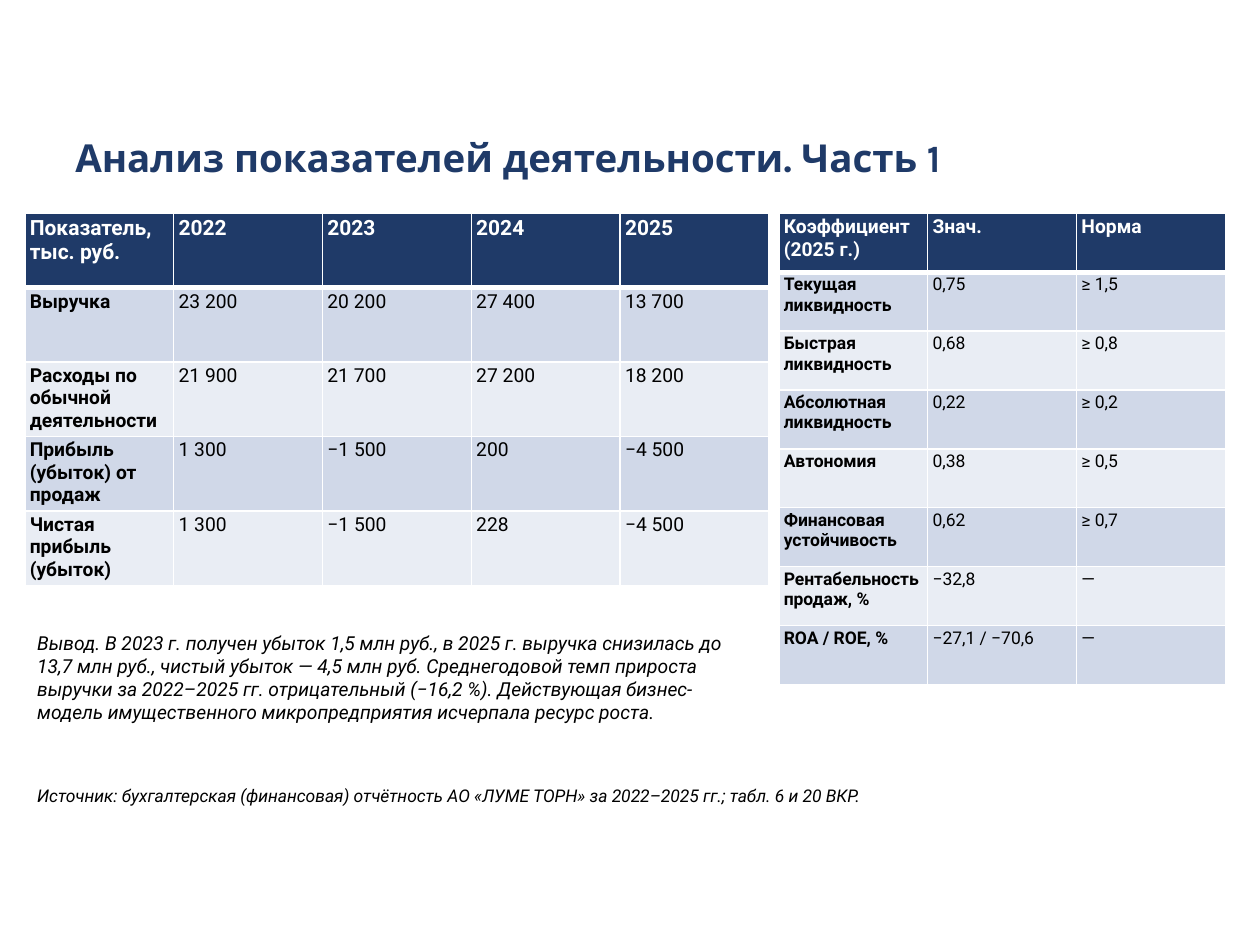
import lxml.etree
import pptx
import pptx.dml.color
import pptx.enum.text
import pptx.oxml.ns
import pptx.util
from pptx.util import Cm

NAVY, WHITE, BLACK = "1F3A68", "FFFFFF", "000000"
BANDS = ("D0D8E8", "E9EDF4")

INDICATORS = [
    ("Показатель, тыс. руб.", "2022", "2023", "2024", "2025"),
    ("Выручка", "23 200", "20 200", "27 400", "13 700"),
    ("Расходы по обычной деятельности", "21 900", "21 700", "27 200", "18 200"),
    ("Прибыль (убыток) от продаж", "1 300", "−1 500", "200", "−4 500"),
    ("Чистая прибыль (убыток)", "1 300", "−1 500", "228", "−4 500"),
]
RATIOS = [
    ("Коэффициент (2025 г.)", "Знач.", "Норма"),
    ("Текущая ликвидность", "0,75", "≥ 1,5"),
    ("Быстрая ликвидность", "0,68", "≥ 0,8"),
    ("Абсолютная ликвидность", "0,22", "≥ 0,2"),
    ("Автономия", "0,38", "≥ 0,5"),
    ("Финансовая устойчивость", "0,62", "≥ 0,7"),
    ("Рентабельность продаж, %", "−32,8", "—"),
    ("ROA / ROE, %", "−27,1 / −70,6", "—"),
]
CONCLUSION = (
    "Вывод. В 2023 г. получен убыток 1,5 млн руб., в 2025 г. выручка снизилась до "
    "13,7 млн руб., чистый убыток — 4,5 млн руб. Среднегодовой темп прироста выручки "
    "за 2022–2025 гг. отрицательный (−16,2 %). Действующая бизнес-модель "
    "имущественного микропредприятия исчерпала ресурс роста."
)
SOURCE = (
    "Источник: бухгалтерская (финансовая) отчётность АО «ЛУМЕ ТОРН» "
    "за 2022–2025 гг.; табл. 6 и 20 ВКР."
)


def rgb(value):
    return pptx.dml.color.RGBColor.from_string(value)


def write(frame, text, size, font="Roboto", color=BLACK, bold=False, italic=False):
    run = frame.paragraphs[0].add_run()
    run.text = text
    run.font.size = pptx.util.Pt(size)
    run.font.name = font
    run.font.color.rgb = rgb(color)
    run.font.bold = bold
    run.font.italic = italic


def add_borders(cell, color, **widths):
    """Draw cell sides given as L, R, T, B with widths in points, in that order."""
    qn = pptx.oxml.ns.qn
    properties = cell._tc.get_or_add_tcPr()
    for position, (side, width) in enumerate(widths.items()):
        line = lxml.etree.Element(qn(f"a:ln{side}"), w=str(pptx.util.Pt(width)))
        fill = lxml.etree.SubElement(line, qn("a:solidFill"))
        lxml.etree.SubElement(fill, qn("a:srgbClr"), val=color)
        properties.insert(position, line)


class ReportSlide:
    """Holds the current slide and the style shared by its elements."""

    column_width = 3
    cell_margin_x, cell_margin_y = 0.1, 0.05

    def __init__(self, deck):
        self.slide = deck.slides.add_slide(deck.slide_layouts[6])

    def text_box(self, left, top, width, height):
        box = self.slide.shapes.add_textbox(Cm(left), Cm(top), Cm(width), Cm(height))
        box.text_frame.word_wrap = True
        return box.text_frame

    def title(self, text):
        frame = self.text_box(1.27, 2.16, 22.86, 2.03)
        frame.vertical_anchor = pptx.enum.text.MSO_ANCHOR.MIDDLE
        write(frame, text, 22, font="Karla", color=NAVY, bold=True)

    def note(self, text, top, width, height, size):
        frame = self.text_box(0.5, top, width, height)
        frame.auto_size = pptx.enum.text.MSO_AUTO_SIZE.SHAPE_TO_FIT_TEXT
        write(frame, text, size, italic=True)

    def table(self, rows, left, height, size):
        """Banded table; the header is one point larger than the body size."""
        columns = len(rows[0])
        table = self.slide.shapes.add_table(
            len(rows), columns, Cm(left), Cm(4.3),
            Cm(self.column_width * columns), Cm(height)).table
        for r, values in enumerate(rows):
            header = r == 0
            for c, value in enumerate(values):
                cell = table.cell(r, c)
                cell.margin_left = cell.margin_right = Cm(self.cell_margin_x)
                cell.margin_top = cell.margin_bottom = Cm(self.cell_margin_y)
                cell.fill.solid()
                cell.fill.fore_color.rgb = rgb(NAVY if header else BANDS[(r - 1) % 2])
                if header:
                    add_borders(cell, WHITE, L=1, R=1, T=1, B=3)
                write(cell.text_frame, value, size + header,
                      color=WHITE if header else BLACK, bold=header or c == 0)


def main():
    deck = pptx.Presentation()
    deck.slide_width, deck.slide_height = Cm(25.4), Cm(19.05)
    report = ReportSlide(deck)
    report.title("Анализ показателей деятельности. Часть 1")
    report.table(INDICATORS, left=0.5, height=7.5, size=11)
    report.table(RATIOS, left=15.7, height=9.5, size=10)
    report.note(CONCLUSION, top=12.6, width=15, height=3, size=11)
    report.note(SOURCE, top=15.7, width=24.2, height=1.4, size=10)
    deck.save("out.pptx")


if __name__ == "__main__":
    main()
